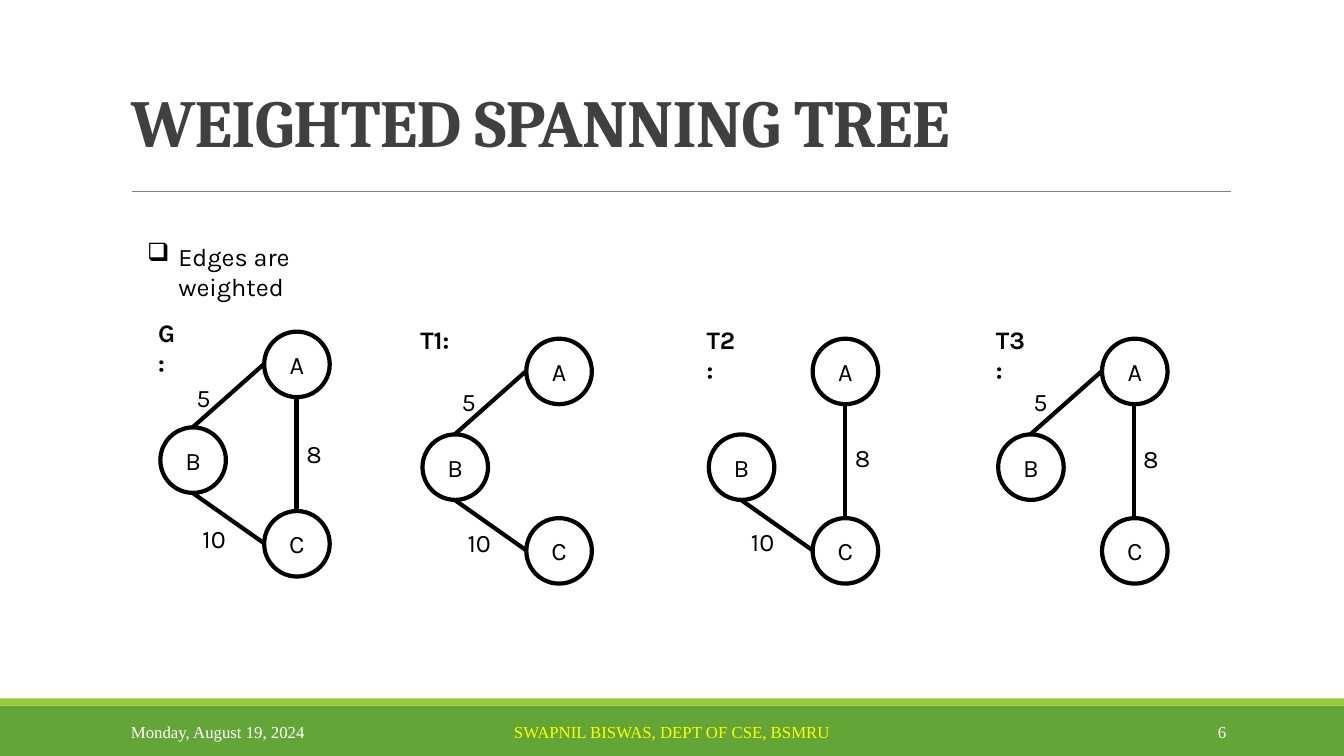
from pptx import Presentation
from pptx.dml.color import RGBColor
from pptx.enum.shapes import MSO_CONNECTOR, MSO_SHAPE
from pptx.enum.text import MSO_ANCHOR, PP_ALIGN
from pptx.oxml.ns import qn
from pptx.util import Pt
from lxml.etree import SubElement

PX = 9144  # EMU per px, 100 px to the inch
W, H = 1333, 750
COLORS = {
    "ink": "000000", "title": "404040", "rule": "808080", "paper": "FFFFFF",
    "band": "63A537", "stripe": "99CB38", "author": "FFFF00",
}

# Node offsets within a graph, and the sides each edge joins
NODE = 65
NODES = {"A": (103, 0), "B": (0, 95), "C": (103, 178)}
SIDES = {"top": (32, 0), "left": (0, 32), "bottom": (32, NODE)}
EDGES = {
    "AB": ("left", "top", "5"),
    "BC": ("bottom", "left", "10"),
    "AC": ("bottom", "top", "8"),
}
# Name, name width, left, top, and where each edge's weight sits
GRAPHS = [
    ("G:", 43, 159, 329, {"AB": (26, 45), "BC": (32, 185), "AC": (135, 101)}),
    ("T1:", 53, 419, 336, {"AB": (29, 42), "BC": (35, 182)}),
    ("T2:", 53, 703, 336, {"BC": (32, 181), "AC": (135, 98)}),
    ("T3:", 53, 990, 336, {"AB": (25, 42), "AC": (134, 99)}),
]


def emu(*lengths):
    return [n * PX for n in lengths]


def rgb(name):
    return RGBColor.from_string(COLORS[name])


def set_text(tf, text, size=18, font="Karla", color="ink", bold=False,
             align=PP_ALIGN.LEFT, anchor=MSO_ANCHOR.TOP):
    tf.word_wrap = True
    tf.vertical_anchor = anchor
    p = tf.paragraphs[0]
    p.text = text
    p.alignment = align
    p.font.size, p.font.name, p.font.bold = Pt(size), font, bold
    p.font.color.rgb = rgb(color)
    return p


def add_text(s, x, y, w, h, text, **style):
    return set_text(s.shapes.add_textbox(*emu(x, y, w, h)).text_frame, text, **style)


def add_shape(s, kind, x, y, w, h, fill, line=None):
    sp = s.shapes.add_shape(kind, *emu(x, y, w, h))
    sp.shadow.inherit = False
    sp.fill.solid()
    sp.fill.fore_color.rgb = rgb(fill)
    if line:
        sp.line.color.rgb = rgb(line)
        sp.line.width = Pt(3)
    else:
        sp.line.fill.background()
    return sp


def add_line(s, x1, y1, x2, y2, color="ink", width=3):
    c = s.shapes.add_connector(MSO_CONNECTOR.STRAIGHT, *emu(x1, y1, x2, y2))
    c.line.color.rgb = rgb(color)
    c.line.width = Pt(width)
    SubElement(c.element.spPr, qn("a:effectLst"))


def add_header(s, x, y, w, h):
    p = add_text(s, x, y, w, h, "WEIGHTED SPANNING TREE", size=48, font="Cambria",
                 color="title", bold=True, anchor=MSO_ANCHOR.BOTTOM)
    p.line_spacing = 0.85
    p.runs[0].font.element.set("spc", "-50") if hasattr(p.runs[0].font, "element") \
        else p.runs[0]._r.get_or_add_rPr().set("spc", "-50")
    add_line(s, x + 11, y + h + 25, x + w + 1, y + h + 25, color="rule", width=0.5)


def add_bullet(s, x, y, w, h):
    p = add_text(s, x, y, w, h, "Edges are weighted")
    pPr = p._p.get_or_add_pPr()
    pPr.set("marL", str(31 * PX))
    pPr.set("indent", str(-31 * PX))
    bullet = pPr.makeelement(qn("a:buChar"), {"char": "❑"})
    pPr.insert_element_before(bullet, "a:tabLst", "a:defRPr", "a:extLst")


def add_graph(s, x, y, name, name_w, weights):
    # Edges and their weights
    for ends, (wx, wy) in weights.items():
        start, end, weight = EDGES[ends]
        points = []
        for node, side in zip(ends, (start, end)):
            (nx, ny), (dx, dy) = NODES[node], SIDES[side]
            points += [x + nx + dx, y + ny + dy]
        add_line(s, *points)
        add_text(s, x + wx, y + wy, 20 + 14 * len(weight), 40, weight)
    # Nodes
    for node, (nx, ny) in NODES.items():
        sp = add_shape(s, MSO_SHAPE.OVAL, x + nx, y + ny, NODE, NODE, "paper", "ink")
        set_text(sp.text_frame, node, align=PP_ALIGN.CENTER, anchor=MSO_ANCHOR.MIDDLE)
    # Name
    add_text(s, x - 12, y - 19, name_w, 40, name, bold=True)


def add_footer(s, x, y, w, h):
    add_shape(s, MSO_SHAPE.RECTANGLE, x, y + 7, w, h - 7, "band")
    add_shape(s, MSO_SHAPE.RECTANGLE, x, y, w, 7, "stripe")
    for left, width, text, color, align in [
        (120, 270, "Monday, August 19, 2024", "paper", PP_ALIGN.LEFT),
        (403, 527, "SWAPNIL BISWAS, DEPT OF CSE, BSMRU", "author", PP_ALIGN.CENTER),
        (1083, 143, "6", "paper", PP_ALIGN.RIGHT),
    ]:
        add_text(s, x + left, y + 13, width, 40, text, size=12, font="Times New Roman",
                 color=color, align=align, anchor=MSO_ANCHOR.MIDDLE)


def main():
    prs = Presentation()
    prs.slide_width, prs.slide_height = emu(W, H)
    s = prs.slides.add_slide(prs.slide_layouts[6])
    add_footer(s, 0, 693, W, H - 693)
    add_header(s, 120, 6, 1100, 159)
    add_bullet(s, 136, 234, 269, 40)
    for name, name_w, x, y, weights in GRAPHS:
        add_graph(s, x, y, name, name_w, weights)
    prs.save("out.pptx")


if __name__ == "__main__":
    main()
